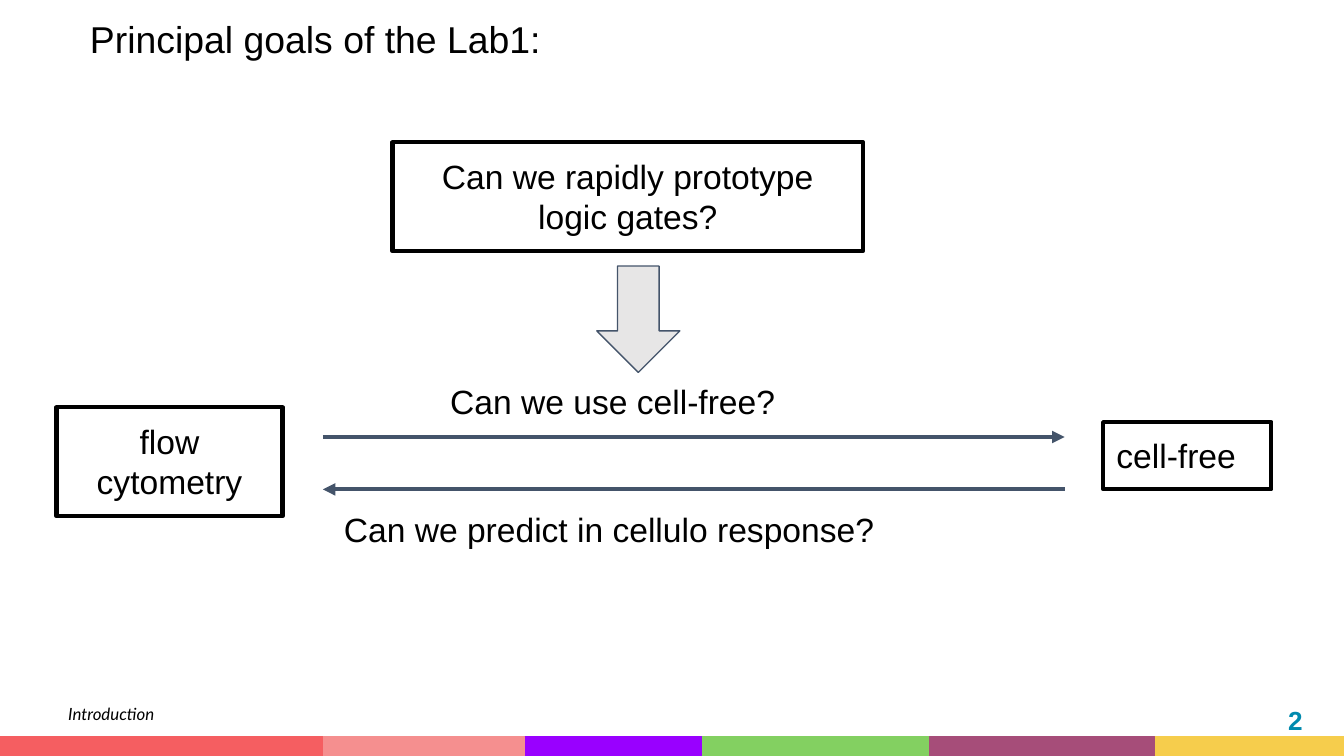
from lxml import etree
from pptx import Presentation
from pptx.dml.color import RGBColor
from pptx.enum.shapes import MSO_CONNECTOR, MSO_SHAPE
from pptx.enum.text import MSO_ANCHOR as ANCHOR, PP_ALIGN as ALIGN
from pptx.oxml.ns import qn
from pptx.util import Cm, Pt

BLACK = RGBColor(0x00, 0x00, 0x00)
SLATE = RGBColor(0x44, 0x54, 0x6A)
GREY = RGBColor(0xE7, 0xE6, 0xE6)
TEAL = RGBColor(0x00, 0x8A, 0xAE)
YELLOW = RGBColor(0xF6, 0xCD, 0x4C)
GREEN = RGBColor(0x83, 0xD0, 0x61)
PURPLE = RGBColor(0x99, 0x00, 0xFF)
PINK = RGBColor(0xF5, 0x8F, 0x8F)
RED = RGBColor(0xF5, 0x5E, 0x61)
PLUM = RGBColor(0xA6, 0x4D, 0x79)

# All places are left, top, width, height in centimetres
TITLE = ("Principal goals of the Lab1:", (1.45, 0.28, 16.94, 0.91))
BOXES = [
    ("Can we rapidly prototype logic gates?", (7.42, 2.69, 8.89, 2.06), ALIGN.CENTER),
    ("cell-free", (20.85, 7.98, 3.18, 1.27), ALIGN.LEFT),
    ("flow cytometry", (1.07, 7.7, 4.27, 2.06), ALIGN.CENTER),
]
QUESTIONS = [
    ("Can we predict in cellulo response?", (6.25, 9.37, 11.66, 1.27)),
    ("Can we use cell-free?", (8.26, 6.96, 7.62, 1.27)),
]
SECTION = ("Introduction", (1.04, 13.11, 3.25, 0.89))
NUMBER = ("2", (19.15, 13.23, 5.72, 0.76))
DOWN_ARROW = (11.28, 5.03, 1.57, 2.01)
ARROW_LEFT, ARROW_RIGHT = 6.1, 20.12
ARROWS = [(9.25, "headEnd"), (8.26, "tailEnd")]  # height, end with the arrowhead
STRIP_TOP, STRIP_HEIGHT = 13.92, 0.38
STRIP = [  # left, width, colour; later bands cover earlier ones
    (21.82, 3.58, YELLOW), (13.06, 4.65, GREEN), (8.61, 4.65, PURPLE),
    (4.8, 5.11, PINK), (0, 6.1, RED), (17.58, 4.24, PLUM),
]


def add_block(kind, place, fill, line, width):
    sp = slide.shapes.add_shape(kind, *map(Cm, place))
    sp.shadow.inherit = False
    if fill is None:
        sp.fill.background()
    else:
        sp.fill.solid()
        sp.fill.fore_color.rgb = fill
    sp.line.color.rgb = line
    sp.line.width = Pt(width)
    return sp


def write(sp, text, size=18, align=ALIGN.LEFT, inset=0.25, anchor=ANCHOR.TOP,
          color=BLACK, name="Arial", bold=False, italic=False):
    tf = sp.text_frame
    tf.word_wrap = True
    tf.vertical_anchor = anchor
    tf.margin_left = tf.margin_right = Cm(0.25)
    tf.margin_top = tf.margin_bottom = Cm(inset)
    p = tf.paragraphs[0]
    p.alignment = align
    r = p.add_run()
    r.text = text
    font = r.font
    font.name, font.size, font.bold, font.italic = name, Pt(size), bold, italic
    font.color.rgb = color
    return p


def add_text(text, place, **style):
    return write(slide.shapes.add_textbox(*map(Cm, place)), text, **style)


def add_arrow(y, end):
    c = slide.shapes.add_connector(
        MSO_CONNECTOR.STRAIGHT, Cm(ARROW_LEFT), Cm(y), Cm(ARROW_RIGHT), Cm(y))
    c.line.color.rgb = SLATE
    c.line.width = Pt(2.25)
    etree.SubElement(c.line._get_or_add_ln(), qn("a:" + end), type="triangle")
    etree.SubElement(c._element.spPr, qn("a:effectLst"))


prs = Presentation()
prs.slide_width, prs.slide_height = Cm(25.4), Cm(14.29)
slide = prs.slides.add_slide(prs.slide_layouts[6])

add_text(*TITLE, size=20, inset=0.13).line_spacing = 0.9
for text, place, align in BOXES:
    write(add_block(MSO_SHAPE.RECTANGLE, place, None, BLACK, 2.25), text, align=align)
for text, place in QUESTIONS:
    add_text(text, place)
add_block(MSO_SHAPE.DOWN_ARROW, DOWN_ARROW, GREY, SLATE, 0.75)
for y, end in ARROWS:
    add_arrow(y, end)
for left, width, color in STRIP:
    add_block(MSO_SHAPE.RECTANGLE, (left, STRIP_TOP, width, STRIP_HEIGHT),
              color, color, 0.75)
add_text(*SECTION, size=9, name="Lato", italic=True)
add_text(*NUMBER, size=14, align=ALIGN.RIGHT, inset=0.13, anchor=ANCHOR.MIDDLE,
         color=TEAL, bold=True)

prs.save("out.pptx")
